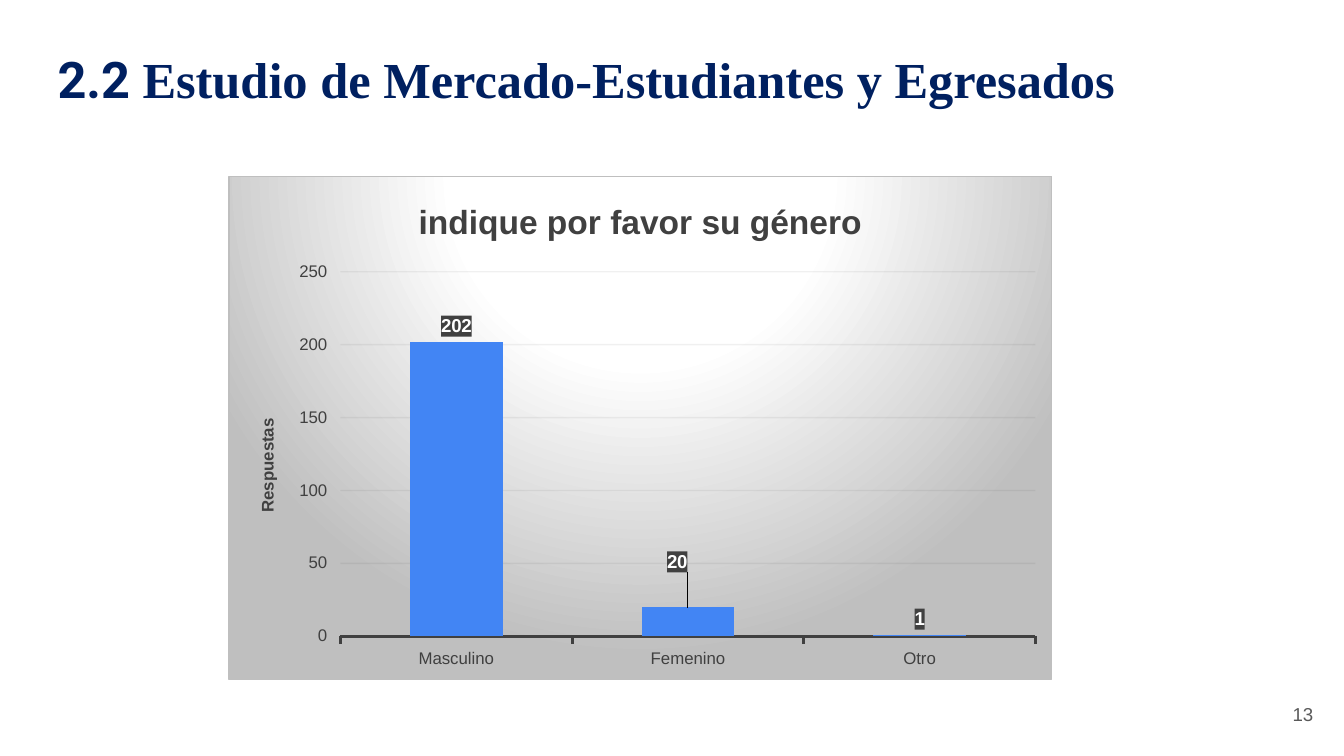
from lxml.etree import fromstring
from pptx import Presentation
from pptx.chart.data import CategoryChartData
from pptx.dml.color import RGBColor
from pptx.enum.chart import XL_CHART_TYPE, XL_LABEL_POSITION, XL_TICK_MARK
from pptx.enum.text import MSO_ANCHOR, MSO_AUTO_SIZE, PP_ALIGN
from pptx.oxml.ns import nsdecls
from pptx.util import Inches, Pt

COLORS = {
    "navy": "002060", "dark": "404040", "grid": "0D0D0D", "bar": "4285F4",
    "white": "FFFFFF", "silver": "BFBFBF", "number": "595959",
}
GRADIENT = [(0, "white"), (39, "white"), (100, "silver")]
NO_LEADER_LINES = (
    '<c:extLst NS><c:ext uri="{CE6537A1-D6FC-4f65-9D91-7224C49458BB}" '
    'xmlns:c15="http://schemas.microsoft.com/office/drawing/2012/chart">'
    '<c15:showLeaderLines val="0"/></c:ext></c:extLst>')


def rgb(name):
    return RGBColor.from_string(COLORS[name])


def element(xml):
    """Parse chart XML whose root tag ends with the mark NS."""
    return fromstring(xml.replace("NS", nsdecls("c", "a"), 1))


def solid(name, alpha, mark=""):
    return (f'<a:solidFill{mark}><a:srgbClr val="{COLORS[name]}">'
            f'<a:alpha val="{alpha * 1000}"/></a:srgbClr></a:solidFill>')


def manual_layout(chart_size, **lengths):
    """Turn lengths in inches into fractions of the chart; w marks a plot."""
    width, height = chart_size
    parts = ""
    if "w" in lengths:
        parts = ('<c:layoutTarget val="inner"/><c:xMode val="edge"/>'
                 '<c:yMode val="edge"/>')
    for key, length in lengths.items():
        whole = width if key in "xw" else height
        parts += f'<c:{key} val="{length / whole:.4f}"/>'
    return element(f'<c:layout NS><c:manualLayout>{parts}'
                   '</c:manualLayout></c:layout>')


def style_font(font, size, color, bold=False, name="Arial"):
    font.size, font.bold, font.name = Pt(size), bold, name
    font.color.rgb = rgb(color)


def add_text(page, box, spans, margin, align=PP_ALIGN.LEFT,
             anchor=MSO_ANCHOR.TOP, auto_size=MSO_AUTO_SIZE.NONE):
    """Each span is text, font name, size, colour, bold."""
    frame = page.shapes.add_textbox(*map(Inches, box)).text_frame
    frame.word_wrap = True
    frame.auto_size = auto_size
    frame.vertical_anchor = anchor
    frame.margin_top = frame.margin_bottom = Inches(margin)
    para = frame.paragraphs[0]
    para.alignment = align
    for text, name, size, color, bold in spans:
        span = para.add_run()
        span.text = text
        style_font(span.font, size, color, bold, name)


def add_chart_title(owner, text, size):
    span = owner.text_frame.paragraphs[0].add_run()
    span.text = text
    style_font(span.font, size, "dark", True)


def style_axes(chart):
    category, value = chart.category_axis, chart.value_axis
    for axis in (category, value):
        style_font(axis.tick_labels.font, 9, "dark")
        axis.major_tick_mark = XL_TICK_MARK.OUTSIDE
        axis.minor_tick_mark = XL_TICK_MARK.NONE
    category.format.line.color.rgb = rgb("dark")
    category.format.line.width = Pt(1.5)
    value.format.line.fill.background()
    value.minimum_scale, value.maximum_scale, value.major_unit = 0, 250, 50
    add_chart_title(value.axis_title, "Respuestas", 9)
    for body in chart.element.xpath(".//c:valAx/c:title//a:bodyPr"):
        body.set("rot", "-5400000")
        body.set("vert", "horz")
    grid = value.major_gridlines.format.line
    grid.color.rgb = rgb("grid")
    grid.width = Pt(0.75)
    for fill in chart.element.xpath(".//c:majorGridlines//a:solidFill"):
        fill.getparent().replace(fill, element(solid("grid", 5, " NS")))


def style_labels(chart, chart_size):
    series = chart.plots[0].series[0]
    labels = series.data_labels
    labels.show_value = True
    moved = series.points[1].data_label
    for label in (labels, moved):
        style_font(label.font, 10, "white", True)
        label.position = XL_LABEL_POSITION.OUTSIDE_END
    for text in chart.element.xpath(".//c:ser/c:dLbls//c:txPr"):
        for old in text.getparent().xpath("./c:spPr"):
            text.getparent().remove(old)
        text.addprevious(element(f'<c:spPr NS>{solid("dark", 75)}</c:spPr>'))
    index = chart.element.xpath(".//c:dLbl/c:idx")[0]
    index.addnext(manual_layout(chart_size, x=-0.08, y=-0.22))
    chart.element.xpath(".//c:ser/c:dLbls")[0].append(element(NO_LEADER_LINES))


def style_background(chart):
    stops = "".join(
        f'<a:gs pos="{place * 1000}"><a:srgbClr val="{COLORS[name]}"/></a:gs>'
        for place, name in GRADIENT)
    chart.element.xpath("./c:chart")[0].addnext(element(
        f'<c:spPr NS><a:gradFill><a:gsLst>{stops}</a:gsLst>'
        '<a:path path="circle"><a:fillToRect l="50000" t="-80000" '
        'r="50000" b="180000"/></a:path></a:gradFill>'
        f'<a:ln w="{int(Pt(0.75))}">{solid("silver", 100)}</a:ln></c:spPr>'))


def add_gender_chart(page, box):
    data = CategoryChartData()
    data.categories = ["Masculino", "Femenino", "Otro"]
    data.add_series("Series 1", [202, 20, 1])
    chart = page.shapes.add_chart(
        XL_CHART_TYPE.COLUMN_CLUSTERED, *map(Inches, box), data).chart
    style_font(chart.font, 10, "dark")
    chart.has_legend = False
    chart.has_title = True
    add_chart_title(chart.chart_title, "indique por favor su género", 18)
    chart.chart_title.include_in_layout = False
    plot = chart.plots[0]
    plot.gap_width = 150
    plot.vary_by_categories = False
    fill = plot.series[0].format.fill
    fill.solid()
    fill.fore_color.rgb = rgb("bar")
    style_axes(chart)
    style_labels(chart, box[2:])
    style_background(chart)
    area = chart.element.xpath(".//c:plotArea")[0]
    for old in area.xpath("./c:layout"):
        area.remove(old)
    area.insert(0, manual_layout(box[2:], x=0.83, y=0.71, w=5.18, h=2.72))


def main():
    deck = Presentation()
    deck.slide_width = Inches(10)
    deck.slide_height = deck.slide_width * 9 // 16
    page = deck.slides.add_slide(deck.slide_layouts[6])
    add_text(page, (0.33, 0.31, 8.76, 0.56), [
        ("2.2 ", "Roboto", 27, "navy", True),
        ("Estudio de Mercado-Estudiantes y Egresados",
         "Times New Roman", 27, "navy", True),
    ], 0.05, auto_size=MSO_AUTO_SIZE.SHAPE_TO_FIT_TEXT)
    add_gender_chart(page, (1.7, 1.31, 6.13, 3.75))
    add_text(page, (9.27, 5.1, 0.6, 0.43),
             [("13", "Arial", 10, "number", False)], 0.1,
             PP_ALIGN.RIGHT, MSO_ANCHOR.MIDDLE)
    deck.save("out.pptx")


if __name__ == "__main__":
    main()
